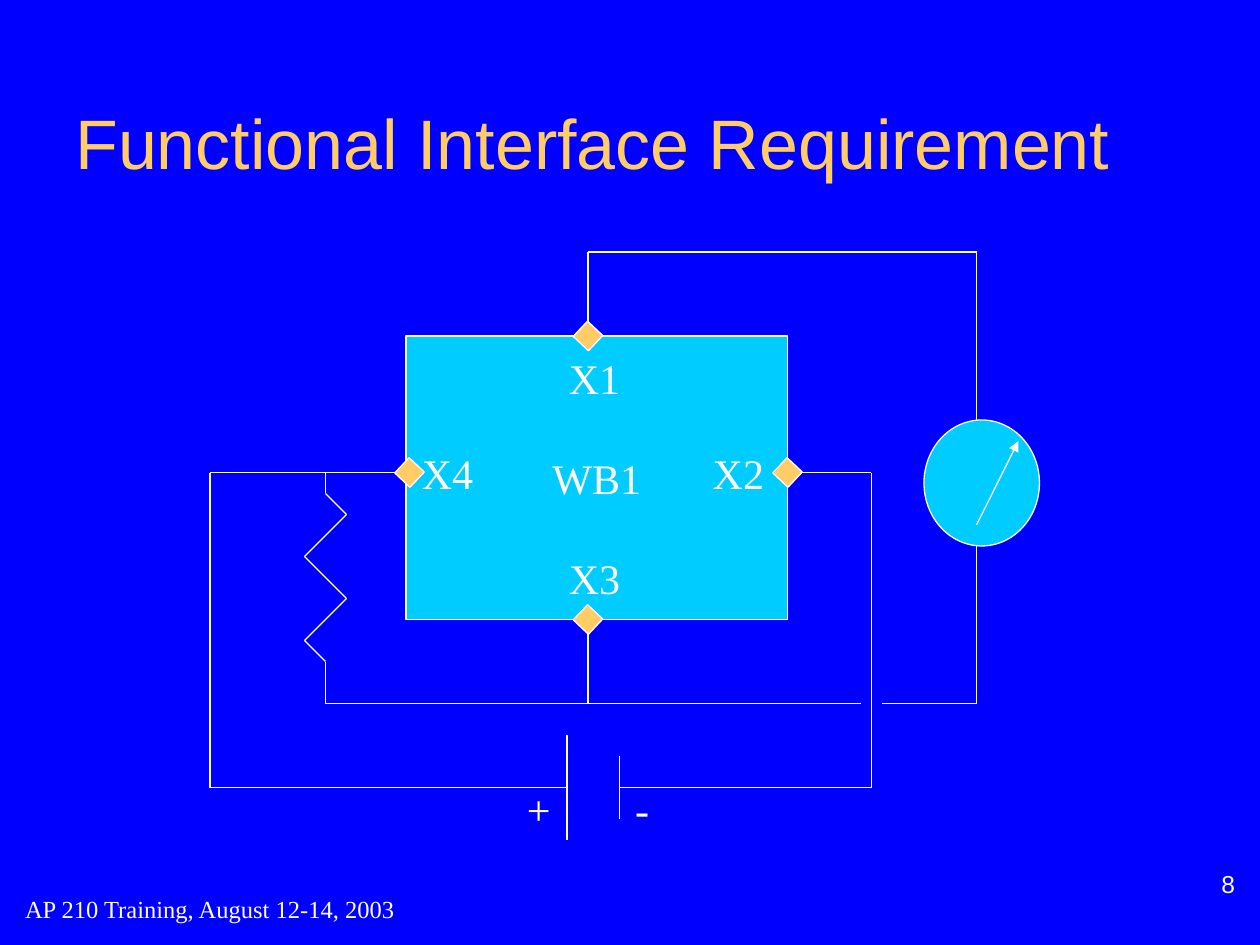
from itertools import pairwise

from lxml import etree
from pptx import Presentation
from pptx.dml.color import RGBColor
from pptx.enum.shapes import MSO_CONNECTOR, MSO_SHAPE
from pptx.enum.text import MSO_ANCHOR, PP_ALIGN
from pptx.oxml.ns import qn
from pptx.util import Cm, Pt

LINE = MSO_CONNECTOR.STRAIGHT
RECT, OVAL = MSO_SHAPE.RECTANGLE, MSO_SHAPE.OVAL
TOP, MIDDLE, BOTTOM = MSO_ANCHOR.TOP, MSO_ANCHOR.MIDDLE, MSO_ANCHOR.BOTTOM
LEFT, CENTER, RIGHT = PP_ALIGN.LEFT, PP_ALIGN.CENTER, PP_ALIGN.RIGHT

COLORS = {"back": "0000FF", "title": "FFCC66", "pin": "FFCC66",
          "part": "00CCFF", "line": "FFFFFF", "text": "FFFFFF"}
STEP = 2.54 / 12  # the drawing grid, in cm

# Each wire is a run of grid points
WIRES = [
    [(56, 32), (56, 24), (93, 24), (93, 41)],              # X1 to meter
    [(93, 50), (93, 67), (84, 67)],                        # meter to gap
    [(82, 67), (56, 67), (31, 67)],                        # gap to resistor
    [(56, 67), (56, 59)],                                  # X3
    [(38, 45), (30, 45), (20, 45), (20, 75), (54, 75)],    # X4 to battery
    [(75, 45), (83, 45), (83, 75), (59, 75)],              # X2 to battery
    [(54, 70), (54, 80)],                                  # plus plate
    [(59, 72), (59, 78)],                                  # minus plate
    [(31, 45), (31, 47), (33, 49), (29, 53), (33, 57),
     (29, 61), (31, 63), (31, 67)],                        # resistor
]
PINS = [(56, 59), (75, 45), (56, 32), (39, 45)]
LABELS = [("+", 49, 74, 4.7), ("-", 59.3, 74, 3.7), ("X1", 53, 33, 7.3),
          ("X2", 66.7, 42, 7.3), ("X3", 53, 52, 7.3), ("X4", 39, 42, 7.3)]


def grid(*values):
    return [Cm(v * STEP) for v in values]


def rgb(name):
    return RGBColor.from_string(COLORS[name])


def write(sp, text, size=24, font="Times New Roman", color="text",
          align=LEFT, anchor=TOP, wrap=False, pad=0.13):
    tf = sp.text_frame
    tf.word_wrap = wrap
    tf.vertical_anchor = anchor
    tf.margin_left = tf.margin_right = Cm(0.25)
    tf.margin_top = tf.margin_bottom = Cm(pad)
    p = tf.paragraphs[0]
    p.alignment = align
    r = p.add_run()
    r.text = text
    r.font.size = Pt(size)
    r.font.name = font
    r.font.color.rgb = rgb(color)


def add_text(s, text, box, **fmt):
    write(s.shapes.add_textbox(*grid(*box)), text, **fmt)


def add_part(s, kind, box, fill, rotation=0):
    sp = s.shapes.add_shape(kind, *grid(*box))
    sp.shadow.inherit = False
    sp.rotation = rotation
    sp.fill.solid()
    sp.fill.fore_color.rgb = rgb(fill)
    sp.line.color.rgb = rgb("line")
    sp.line.width = Pt(0.75)
    return sp


def add_line(s, start, end, arrow=False):
    sp = s.shapes.add_connector(LINE, *grid(*start, *end))
    sp.line.color.rgb = rgb("line")
    sp.line.width = Pt(0.75)
    if arrow:
        etree.SubElement(sp.line._get_or_add_ln(), qn("a:tailEnd"), type="triangle")
    etree.SubElement(sp._element.spPr, qn("a:effectLst"))


def main():
    prs = Presentation()
    prs.slide_width, prs.slide_height = Cm(25.4), Cm(19.05)
    s = prs.slides.add_slide(prs.slide_layouts[6])
    s.background.fill.solid()
    s.background.fill.fore_color.rgb = rgb("back")

    # Title
    add_text(s, "Functional Interface Requirement", (6, 6, 108, 15), size=40,
             font="Arial", color="title", anchor=MIDDLE, wrap=True)

    # Wiring, battery plates and resistor
    for wire in WIRES:
        for start, end in pairwise(wire):
            add_line(s, start, end)

    # Central block with its labels and pins
    block = add_part(s, RECT, (38.67, 32, 36.33, 27), "part")
    write(block, "WB1", align=CENTER, anchor=MIDDLE)
    for text, x, y, width in LABELS:
        add_text(s, text, (x, y, width, 6))
    for x, y in PINS:
        add_part(s, RECT, (x - 1, y - 1, 2, 2), "pin", rotation=43.3)

    # Meter with its needle
    add_part(s, OVAL, (88, 40, 11, 12), "part")
    add_line(s, (93, 50), (97, 42), arrow=True)

    # Footer and page number
    add_text(s, "AP 210 Training, August 12-14, 2003", (1.2, 83.5, 56, 6),
             size=14, anchor=MIDDLE, wrap=True)
    add_text(s, "8", (94.2, 80.6, 24.6, 5), size=14, font="Arial",
             align=RIGHT, anchor=BOTTOM, wrap=True, pad=0)

    prs.save("out.pptx")


if __name__ == "__main__":
    main()
